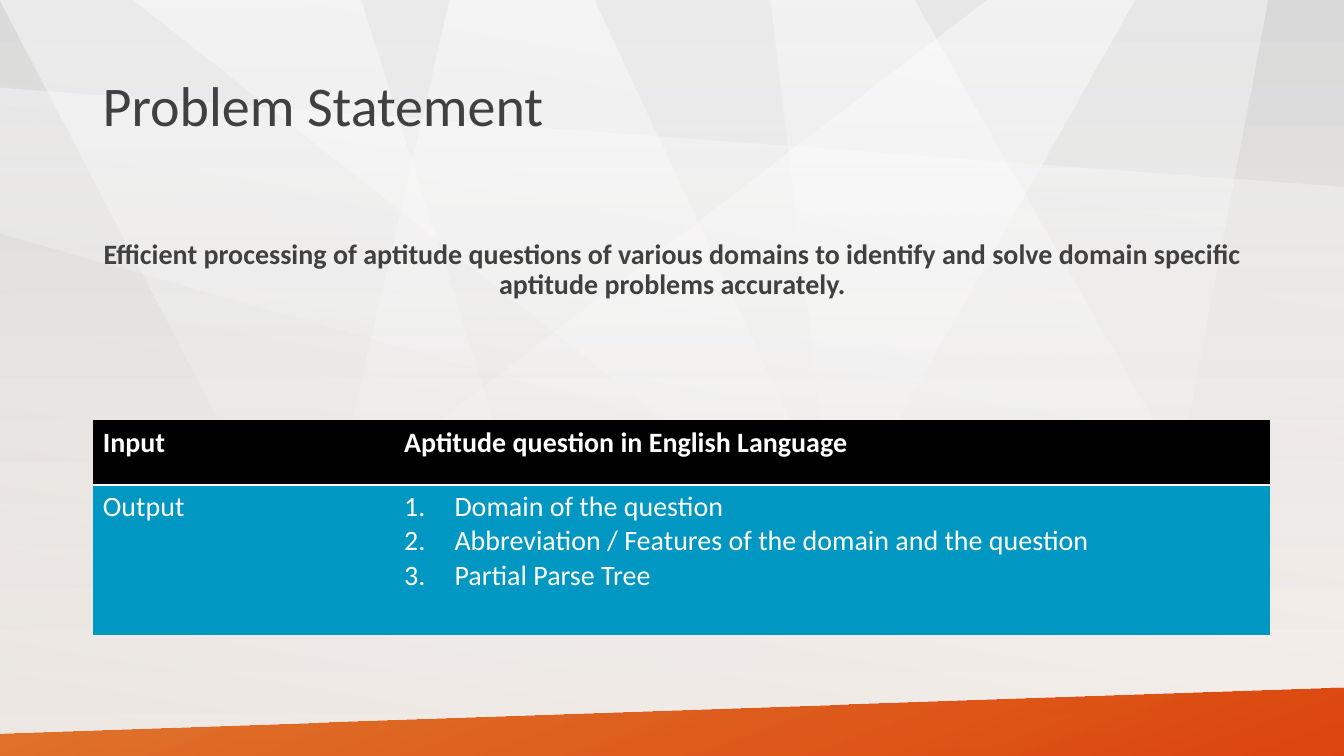
from lxml.etree import SubElement
from pptx import Presentation
from pptx.dml.color import RGBColor
from pptx.enum.shapes import MSO_SHAPE as Shape
from pptx.enum.text import MSO_ANCHOR as Anchor, PP_ALIGN as Align
from pptx.oxml import parse_xml
from pptx.oxml.ns import nsdecls, qn
from pptx.util import Cm, Pt

FONT = "Calibri"
WHITE = RGBColor(0xFF, 0xFF, 0xFF)
BLACK = RGBColor(0x00, 0x00, 0x00)
DARK_GREY = RGBColor(0x40, 0x40, 0x40)
MID_GREY = RGBColor(0xBF, 0xBF, 0xBF)
LIGHT_GREY = RGBColor(0xD9, 0xD9, 0xD9)
CREAM = RGBColor(0xFC, 0xF5, 0xEF)
ORANGE = RGBColor(0xDD, 0x59, 0x00)
RED_ORANGE = RGBColor(0xDC, 0x3C, 0x00)
BLUE = RGBColor(0x00, 0x97, 0xC2)
NO_TABLE_STYLE = "{2D5ABB26-0587-4C30-8999-92F81FD0307C}"
WIDTH, HEIGHT = 33.87, 19.05


def fade(fill, element, angle, *stops):
    """Fill with a clockwise-angled gradient of (colour, opacity percent) stops."""
    fill.gradient()
    fill.gradient_angle = 360 - angle
    for place, stop, (colour, _) in zip((0, 1), fill.gradient_stops, stops):
        stop.position = place
        stop.color.rgb = colour
    for tint, (_, opacity) in zip(element.iter(qn("a:srgbClr")), stops):
        if opacity < 100:
            SubElement(tint, qn("a:alpha"), val=str(opacity * 1000))


def write(para, text, size, colour, bold=False):
    span = para.add_run()
    span.text = text
    span.font.name = FONT
    span.font.size = Pt(size)
    span.font.bold = bold
    span.font.color.rgb = colour


deck = Presentation()
deck.slide_width, deck.slide_height = Cm(WIDTH), Cm(HEIGHT)
page = deck.slides.add_slide(deck.slide_layouts[6])

# Background
backdrop = page.background.fill
fade(backdrop, page.element.find(".//" + qn("p:bgPr")), 90, (LIGHT_GREY, 50), (CREAM, 100))

# Translucent rays, a grey veil over them, and the orange wedge at the foot
ray_50 = (90, (WHITE, 50), (WHITE, 0))
ray_40 = (90, (WHITE, 40), (WHITE, 0))
outlines = [
    ([(24.87, 0), (0, 19.08), (17.81, 19.08), (28.58, 0)], ray_50),
    ([(0, 0), (9.09, 0), (15.09, HEIGHT), (9.93, HEIGHT)], ray_50),
    ([(3.35, 0), (23.04, 0), (WIDTH, HEIGHT), (27.51, HEIGHT)], ray_50),
    ([(19.43, 0), (21.74, HEIGHT), (28.32, HEIGHT), (31.93, 0)], ray_40),
    ([(14.96, 0), (11.33, 0), (6.91, HEIGHT), (23.85, HEIGHT)], ray_50),
    ([(0, 2.21), (WIDTH, 4.72), (WIDTH, 15.49), (0, 5.89)], ray_40),
    (None, (280, (MID_GREY, 25), (WHITE, 0))),
    ([(0, 18.47), (WIDTH, 17.32), (WIDTH, 19.08), (0, 19.08)],
     (70, (ORANGE, 80), (RED_ORANGE, 95))),
]
for corners, gradient in outlines:
    if corners:
        points = [(Cm(x), Cm(y)) for x, y in corners]
        builder = page.shapes.build_freeform(*points[0])
        builder.add_line_segments(points[1:], close=True)
        shape = builder.convert_to_shape()
    else:
        shape = page.shapes.add_shape(Shape.RECTANGLE, 0, 0, Cm(WIDTH), Cm(HEIGHT))
    shape.shadow.inherit = False
    shape.line.fill.background()
    fade(shape.fill, shape.element.spPr, *gradient)

# Title and statement
statement = ("Efficient processing of aptitude questions of various domains to identify "
             "and solve domain specific aptitude problems accurately.")
for top, height, anchor, align, text, size, bold in [
    (0.89, 3.68, Anchor.MIDDLE, Align.LEFT, "Problem Statement", 40, False),
    (5.92, 2.97, Anchor.TOP, Align.CENTER, statement, 20, True),
]:
    box = page.shapes.add_textbox(Cm(2.34), Cm(top), Cm(29.21), Cm(height))
    box.text_frame.word_wrap = True
    box.text_frame.vertical_anchor = anchor
    para = box.text_frame.paragraphs[0]
    para.alignment = align
    para.line_spacing = 0.9
    write(para, text, size, DARK_GREY, bold)

# Input and output table
rows = [
    (1.63, BLACK, "Input", ["Aptitude question in English Language"]),
    (3.78, BLUE, "Output", ["Domain of the question",
                            "Abbreviation / Features of the domain and the question",
                            "Partial Parse Tree"]),
]
frame = page.shapes.add_table(2, 2, Cm(2.34), Cm(10.59), Cm(29.66), Cm(5.41))
table = frame.table
frame.element.find(".//" + qn("a:tableStyleId")).text = NO_TABLE_STYLE
table.columns[0].width, table.columns[1].width = Cm(7.59), Cm(22.07)
for row, (height, colour, label, lines) in enumerate(rows):
    table.rows[row].height = Cm(height)
    for column, texts in enumerate([[label], lines]):
        cell = table.cell(row, column)
        cell.fill.solid()
        cell.fill.fore_color.rgb = colour
        for number, text in enumerate(texts):
            paras = cell.text_frame
            para = paras.add_paragraph() if number else paras.paragraphs[0]
            para.alignment = Align.JUSTIFY
            write(para, text, 20, WHITE, bold=row == 0)
            if len(texts) > 1:
                props = para._p.get_or_add_pPr()
                props.set("marL", str(Cm(1.27)))
                props.set("indent", str(-Cm(1.27)))
                SubElement(props, qn("a:buFont"), typeface="+mj-lt")
                SubElement(props, qn("a:buAutoNum"), type="arabicPeriod")
        if row == 0:
            border = parse_xml(
                f'<a:lnB {nsdecls("a")} w="{Pt(2)}"><a:solidFill>'
                f'<a:srgbClr val="{WHITE}"/></a:solidFill></a:lnB>')
            cell._tc.get_or_add_tcPr().insert(0, border)

deck.save("out.pptx")
